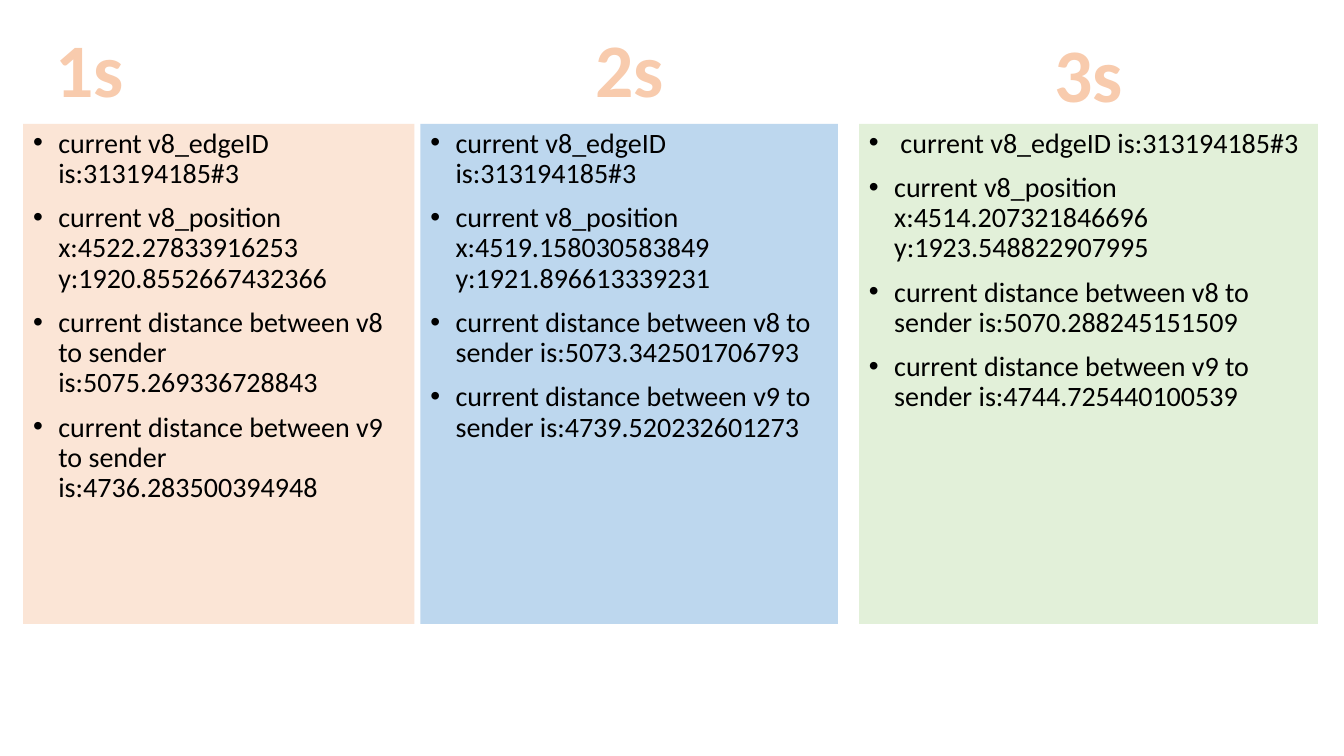
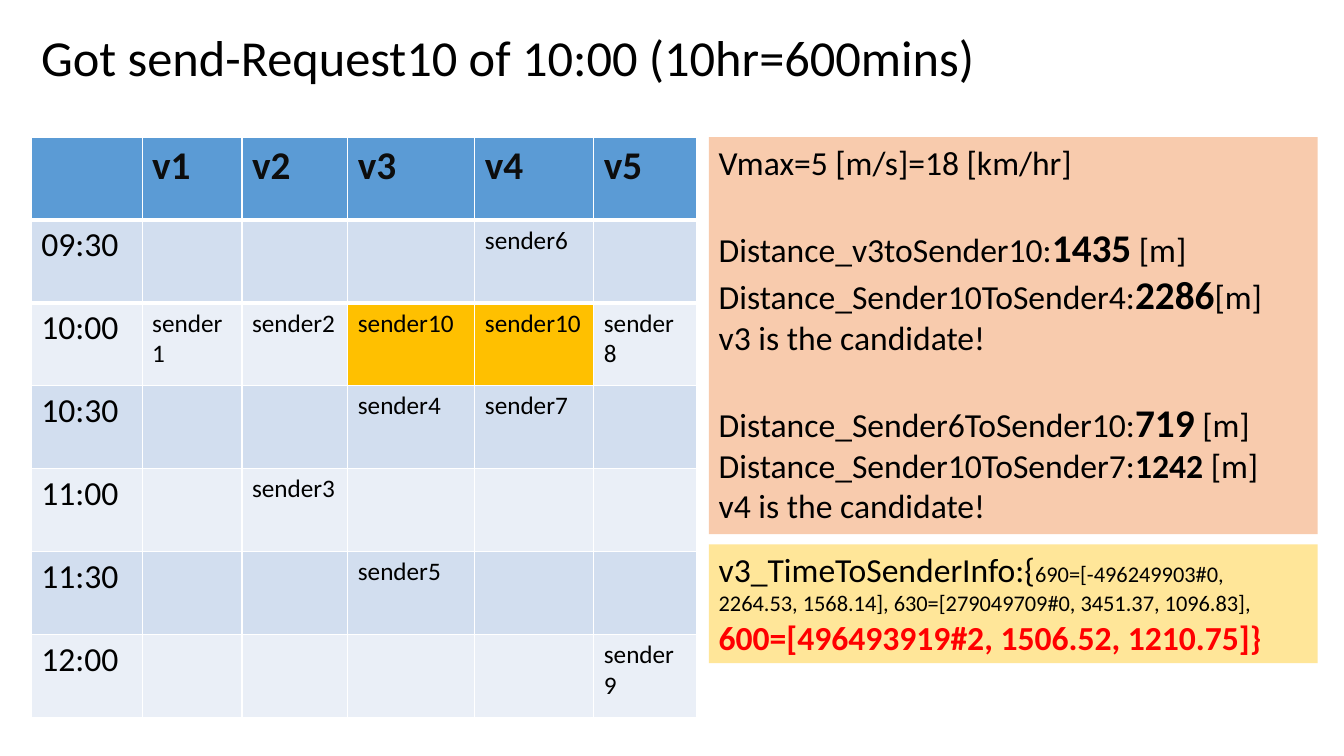
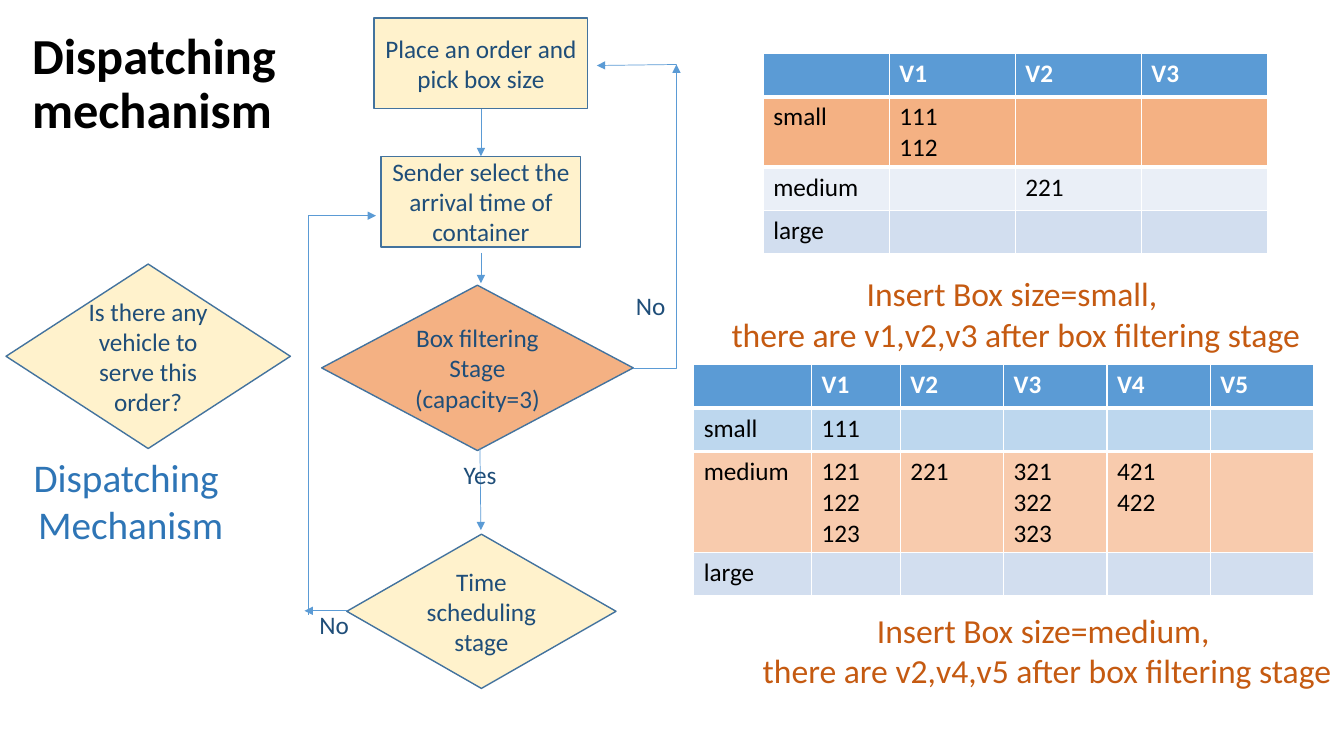
from lxml import etree
from pptx import Presentation
from pptx.dml.color import RGBColor
from pptx.enum.shapes import MSO_CONNECTOR, MSO_SHAPE
from pptx.enum.text import MSO_ANCHOR, MSO_AUTO_SIZE, PP_ALIGN
from pptx.oxml.ns import qn
from pptx.util import Inches, Pt

RECT, DIAMOND = MSO_SHAPE.RECTANGLE, MSO_SHAPE.DIAMOND
STRAIGHT, ELBOW = MSO_CONNECTOR.STRAIGHT, MSO_CONNECTOR.ELBOW
TOP, MIDDLE = MSO_ANCHOR.TOP, MSO_ANCHOR.MIDDLE
LEFT, CENTER = PP_ALIGN.LEFT, PP_ALIGN.CENTER
FIXED, GROW = MSO_AUTO_SIZE.NONE, MSO_AUTO_SIZE.SHAPE_TO_FIT_TEXT

FONT = "Calibri"
BLACK, WHITE, RED = "000000", "FFFFFF", "FF0000"
BLUE, PALE_BLUE, BAND_DARK, BAND_LIGHT = "5B9BD5", "BDD7EE", "D2DEEF", "EAEFF7"
ORANGE, PEACH, BLUSH, RUST = "F4B183", "F8CBAD", "FBE5D6", "C55A11"
CREAM, YELLOW, GOLD, GREEN = "FFF2CC", "FFE699", "FFC000", "E2F0D9"
NAVY, MID_BLUE, EDGE = "1F4E79", "2E75B6", "43739E"
BULLETS = {"line_spacing": 0.9, "space_before": Pt(10)}


def rgb(value):
    return RGBColor.from_string(value)


# Text
def write(tf, text, size=18, color=BLACK, bold=False, **para):
    """Text is a string with one paragraph a line, or a list of paragraphs.

    A paragraph is a string or a list of runs; a run is a string
    or a (string, font values) pair.
    """
    paragraphs = text.split("\n") if isinstance(text, str) else text
    for i, runs in enumerate(paragraphs):
        p = tf.paragraphs[0] if i == 0 else tf.add_paragraph()
        for name, value in para.items():
            setattr(p, name, value)
        for run in [runs] if isinstance(runs, str) else runs:
            words, changes = (run, {}) if isinstance(run, str) else run
            look = {"size": size, "color": color, "bold": bold, **changes}
            r = p.add_run()
            r.text = words
            r.font.color.rgb = rgb(look["color"])
            values = {"name": FONT, "size": Pt(look["size"]), "bold": look["bold"]}
            for name, value in values.items():
                setattr(r.font, name, value)


def add_text(s, x, y, w, h, text, wrap=False, anchor=TOP, **style):
    tf = s.shapes.add_textbox(*map(Inches, (x, y, w, h))).text_frame
    frame = {"word_wrap": wrap, "vertical_anchor": anchor,
             "auto_size": FIXED if wrap else GROW}
    for name, value in frame.items():
        setattr(tf, name, value)
    write(tf, text, **style)


def add_bullets(tf):
    for p in tf.paragraphs:
        pPr = p._p.get_or_add_pPr()
        pPr.set("marL", str(Inches(0.25)))
        pPr.set("indent", str(Inches(-0.25)))
        etree.SubElement(pPr, qn("a:buFont")).set("typeface", "Arial")
        etree.SubElement(pPr, qn("a:buChar")).set("char", "•")


# Shapes
def add_box(s, x, y, w, h, text, fill, kind=RECT, line=None, anchor=TOP,
            alignment=LEFT, **style):
    sp = s.shapes.add_shape(kind, *map(Inches, (x, y, w, h)))
    sp.shadow.inherit = False
    sp.fill.solid()
    sp.fill.fore_color.rgb = rgb(fill)
    if line:
        sp.line.color.rgb = rgb(line)
        sp.line.width = Pt(1)
    else:
        sp.line.fill.background()
    tf = sp.text_frame
    tf.word_wrap = True
    tf.vertical_anchor = anchor
    write(tf, text, alignment=alignment, **style)
    return tf


def add_step(s, x, y, w, h, text, kind=RECT, fill=CREAM):
    add_box(s, x, y, w, h, text, fill, kind, EDGE, MIDDLE, CENTER, color=NAVY)


def add_arrow(s, start, end, kind=STRAIGHT, arrow_at="tailEnd"):
    c = s.shapes.add_connector(kind, *map(Inches, (*start, *end)))
    c.line.color.rgb = rgb(BLUE)
    c.line.width = Pt(0.5)
    spPr = c._element.spPr
    if kind == ELBOW:  # a single corner: first across, then up or down
        spPr.find(qn("a:prstGeom")).set("prst", "bentConnector2")
    etree.SubElement(spPr.find(qn("a:ln")), qn(f"a:{arrow_at}")).set("type", "triangle")
    etree.SubElement(spPr, qn("a:effectLst"))


# Tables
def set_border(cell, side, width):
    ln = etree.Element(qn(f"a:{side}"), w=str(Pt(width)))
    fill = etree.SubElement(ln, qn("a:solidFill"))
    etree.SubElement(fill, qn("a:srgbClr")).set("val", WHITE)
    cell._tc.get_or_add_tcPr().insert(0, ln)


def add_grid(s, x, y, widths, heights, rows, fills, header, label_size=18, marked=()):
    """Header row, label column, one fill a row; marked cells are gold."""
    frame = s.shapes.add_table(len(rows), len(widths), Inches(x), Inches(y),
                               Inches(sum(widths)), Inches(sum(heights)))
    table = frame.table
    for column, width in zip(table.columns, widths):
        column.width = Inches(width)
    for row, height in zip(table.rows, heights):
        row.height = Inches(height)
    for i, (texts, fill) in enumerate(zip(rows, fills)):
        for j, text in enumerate(texts):
            cell = table.cell(i, j)
            cell.fill.solid()
            cell.fill.fore_color.rgb = rgb(GOLD if (i, j) in marked else fill)
            if i < 2:  # thick rule under the header
                set_border(cell, ("lnB", "lnT")[i], 3)
            if text:
                body = {"size": label_size if j == 0 else 18}
                write(cell.text_frame, text, **(header if i == 0 else body))


# Slides
def positions_slide(s):
    columns = [
        # heading, its x and y, panel x and width, fill, lead, x, y, v8, v9
        ("1s", 0.44, 0.17, 0.23, 3.88, BLUSH, "", "4522.27833916253",
         "1920.8552667432366", "5075.269336728843", "4736.283500394948"),
        ("2s", 5.8, 0.17, 4.17, 4.14, PALE_BLUE, "", "4519.158030583849",
         "1921.896613339231", "5073.342501706793", "4739.520232601273"),
        ("3s", 10.35, 0.22, 8.52, 4.55, GREEN, " ", "4514.207321846696",
         "1923.548822907995", "5070.288245151509", "4744.725440100539"),
    ]
    for name, head_x, head_y, x, w, fill, lead, pos_x, pos_y, v8, v9 in columns:
        add_text(s, head_x, head_y, 0.89, 1.01, name, size=54, color=PEACH,
                 bold=True, alignment=CENTER)
        lines = [f"{lead}current v8_edgeID is:313194185#3",
                 f"current v8_position x:{pos_x} y:{pos_y}",
                 f"current distance between v8 to sender is:{v8}",
                 f"current distance between v9 to sender is:{v9}"]
        add_bullets(add_box(s, x, 1.23, w, 4.96, lines, fill, size=20, **BULLETS))


def request_slide(s):
    add_text(s, 0.31, 0.21, 10, 0.71, "Got send-Request10 of 10:00 (10hr=600mins)",
             wrap=True, size=36)
    rows = [
        ["", "v1", "v2", "v3", "v4", "v5"],
        ["09:30", "", "", "", "sender6", ""],
        ["10:00", "sender1", "sender2", "sender10", "sender10", "sender8"],
        ["10:30", "", "", "sender4", "sender7", ""],
        ["11:00", "", "sender3", "", "", ""],
        ["11:30", "", "", "sender5", "", ""],
        ["12:00", "", "", "", "", "sender9"],
    ]
    add_grid(s, 0.31, 1.36, [1.1, 0.99, 1.05, 1.26, 1.18, 1.02],
             [5.76 / len(rows)] * len(rows), rows,
             [BLUE] + [BAND_DARK, BAND_LIGHT] * 3,
             {"size": 28, "color": "0D0D0D", "bold": True}, 24, [(2, 3), (2, 4)])

    # Distances, in three groups
    big, strong = {"size": 28, "bold": True}, {"bold": True}
    tf = add_box(s, 7.03, 1.36, 6.04, 3.94, [
        "Vmax=5 [m/s]=18 [km/hr]",
        ["Distance_v3toSender10:", ("1435", big), " [m]"],
        ["Distance_Sender10ToSender4:", ("2286", big), "[m]"],
        "v3 is the candidate!",
        ["Distance_Sender6ToSender10:", ("719", big), " [m]"],
        ["Distance_Sender10ToSender7:", ("1242", strong), " [m]"],
        "v4 is the candidate!"], PEACH, size=24)
    for first_of_group in (1, 4):
        tf.paragraphs[first_of_group].space_before = Pt(29)

    add_box(s, 7.03, 5.4, 6.04, 1.18, [[
        "v3_TimeToSenderInfo:{",
        ("690=[-496249903#0, 2264.53, 1568.14], 630=[279049709#0, 3451.37, 1096.83], ",
         {"size": 16}),
        ("600=[496493919#2, 1506.52, 1210.75]}", {"color": RED, "bold": True})]],
        YELLOW, size=24)


def dispatching_slide(s):
    add_text(s, 0.22, 0.12, 4.1, 1.45, "Dispatching mechanism", wrap=True,
             anchor=MIDDLE, size=36, bold=True, line_spacing=0.9)
    add_text(s, 0.22, 4.45, 2.15, 1.04, "Dispatching \nMechanism", size=28,
             color=MID_BLUE, alignment=CENTER)

    # Flow chart
    add_step(s, 0.06, 2.62, 2.82, 1.83, "Is there any vehicle to serve this order?", DIAMOND)
    add_step(s, 3.71, 0.18, 2.12, 0.9, "Place an order and pick box size")
    add_step(s, 3.78, 1.55, 1.98, 0.9, "Sender select the arrival time of container")
    add_step(s, 3.19, 2.83, 3.09, 1.64, "Box filtering\nStage (capacity=3)", DIAMOND, ORANGE)
    add_step(s, 3.44, 5.3, 2.67, 1.53, "Time scheduling\nstage", DIAMOND)
    for start, end in [((4.77, 1.08), (4.77, 1.55)), ((4.77, 2.51), (4.77, 2.81)),
                       ((4.76, 4.44), (4.77, 5.26)), ((3.44, 6.06), (3.02, 6.06)),
                       ((6.71, 0.64), (5.92, 0.65))]:
        add_arrow(s, start, end)
    add_arrow(s, (6.28, 3.65), (6.71, 0.64), ELBOW)
    add_arrow(s, (3.73, 2.14), (3.06, 6.1), ELBOW, "headEnd")
    for x, y, answer in [(4.5, 4.51, "Yes"), (6.21, 2.83, "No"), (3.07, 6, "No")]:
        add_text(s, x, y, 0.6, 0.4, answer, wrap=True, color=NAVY)

    # Box tables with captions
    header = {"color": WHITE, "bold": True}
    add_grid(s, 7.57, 0.53, [1.25] * 4, [0.43, 0.7, 0.43, 0.43],
             [["", "V1", "V2", "V3"], ["small", "111\n112", "", ""],
              ["medium", "", "221", ""], ["large", "", "", ""]],
             [BLUE, ORANGE, BAND_LIGHT, BAND_DARK], header)
    add_grid(s, 6.88, 3.62, [1.17, 0.88] + [4.1 / 4] * 4, [0.43, 0.43, 1, 0.43],
             [["", "V1", "V2", "V3", "V4", "V5"], ["small", "111", "", "", "", ""],
              ["medium", "121\n122\n123", "221", "321\n322\n323", "421\n422", ""],
              ["large", "", "", "", "", ""]],
             [BLUE, PALE_BLUE, PEACH, BAND_DARK], header)
    for x, y, size, vehicles in [(7.12, 2.66, "small", "v1,v2,v3"),
                                 (7.43, 6, "medium", "v2,v4,v5")]:
        caption = (f"Insert Box size={size}, \n"
                   f"there are {vehicles} after box filtering stage")
        add_text(s, x, y, 5.91, 0.91, caption, size=24, color=RUST, alignment=CENTER)


def main():
    prs = Presentation()
    prs.slide_width, prs.slide_height = Inches(13.33), Inches(7.5)
    for build in (positions_slide, request_slide, dispatching_slide):
        build(prs.slides.add_slide(prs.slide_layouts[6]))
    prs.save("out.pptx")


if __name__ == "__main__":
    main()
